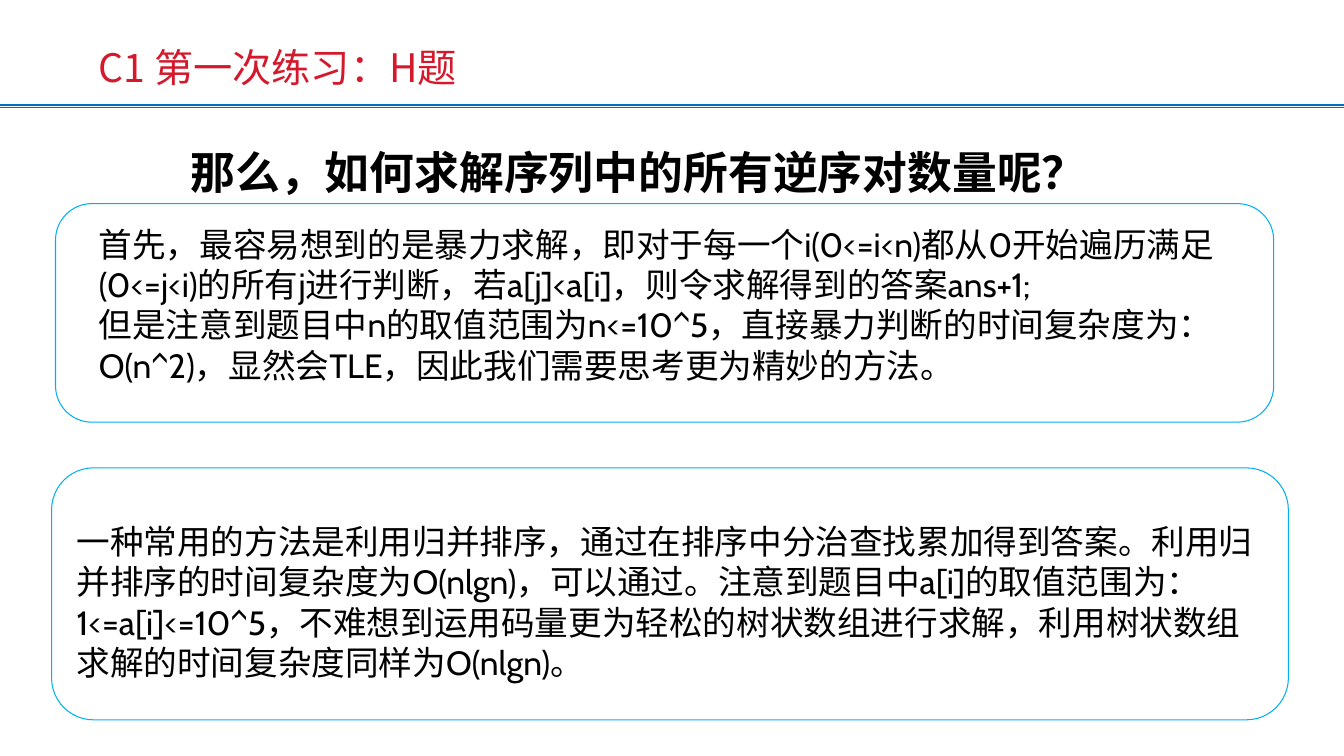
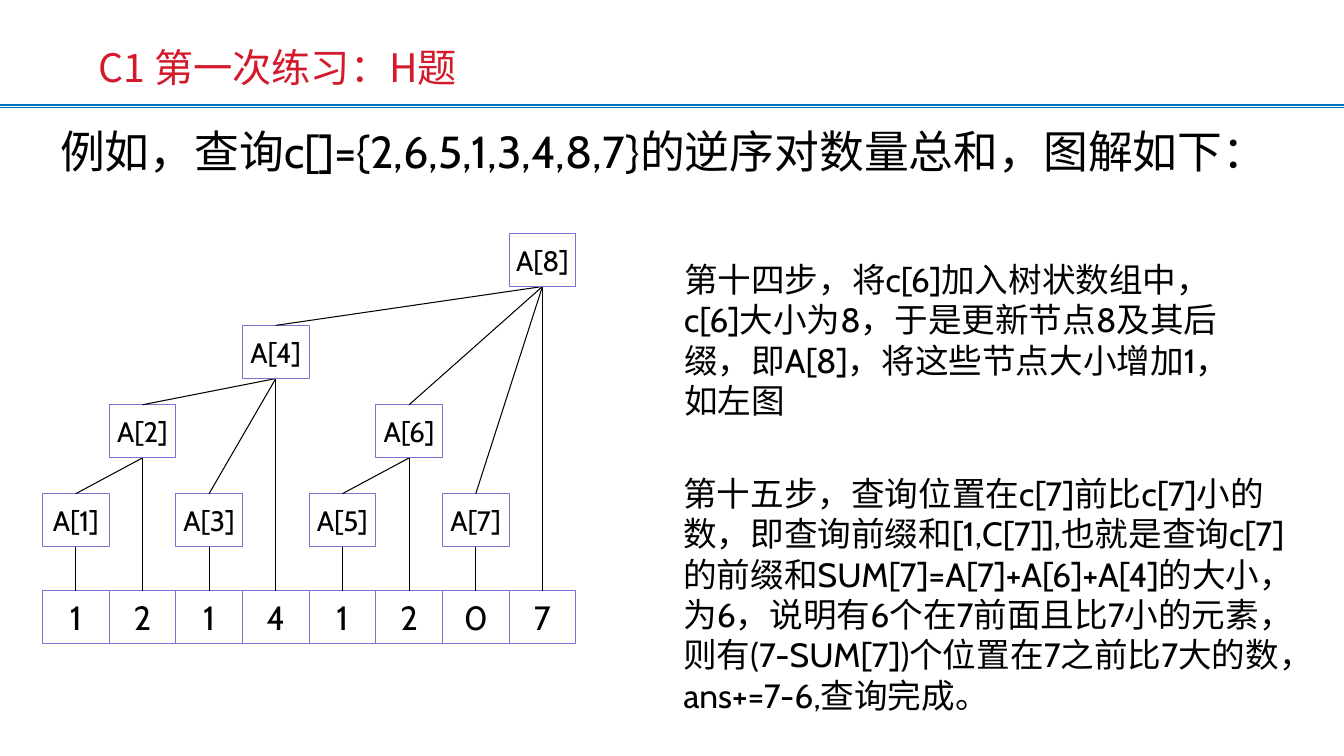
from collections import namedtuple

from lxml.etree import SubElement
from pptx import Presentation
from pptx.dml.color import RGBColor
from pptx.enum.lang import MSO_LANGUAGE_ID as Language
from pptx.enum.shapes import MSO_CONNECTOR as Connector, MSO_SHAPE as Preset
from pptx.enum.text import MSO_ANCHOR as Anchor, MSO_AUTO_SIZE as AutoSize, PP_ALIGN as Align
from pptx.oxml.ns import qn
from pptx.util import Cm, Pt

COLOURS = {
    "title": "D3192B",
    "rule": "0070C0",
    "card": "00B0F0",
    "node": "7575D1",
    "text": "000000",
}
TITLE_FONT = "Noto Sans CJK SC"
BODY_FONT = "Cabin"
PAGE_WIDTH, PAGE_HEIGHT = 33.87, 19.05
TITLE_TEXT = "C1 第一次练习：H题"

Box = namedtuple("Box", "left top width height")


def colour(name):
    return RGBColor.from_string(COLOURS[name])


def lengths(box):
    return [Cm(value) for value in box]


def write(frame, paragraphs, size, font=BODY_FONT, shade="text", align=Align.LEFT,
          anchor=Anchor.TOP, wrap=True, bold=False):
    frame.text = "\n".join(paragraphs)
    frame.auto_size = AutoSize.NONE
    frame.word_wrap = wrap
    frame.vertical_anchor = anchor
    for para in frame.paragraphs:
        para.alignment = align
        for span in para.runs:
            span.font.size = Pt(size)
            span.font.bold = bold
            span.font.name = font
            span.font.color.rgb = colour(shade)
            span.font.language_id = Language.SIMPLIFIED_CHINESE
            SubElement(span._r.get_or_add_rPr(), qn("a:ea")).set("typeface", font)


def add_text(page, box, paragraphs, size, **style):
    write(page.shapes.add_textbox(*lengths(box)).text_frame, paragraphs, size, **style)


def add_line(page, start, end, shade="text", weight=0.75):
    line = page.shapes.add_connector(Connector.STRAIGHT, *lengths(start + end))
    line.line.color.rgb = colour(shade)
    line.line.width = Pt(weight)
    SubElement(line._element.spPr, qn("a:effectLst"))


def add_outline(page, preset, box, shade):
    shape = page.shapes.add_shape(preset, *lengths(box))
    shape.shadow.inherit = False
    shape.fill.background()
    shape.line.color.rgb = colour(shade)
    shape.line.width = Pt(0.75)
    return shape


def add_page(deck):
    page = deck.slides.add_slide(deck.slide_layouts[5])
    for height, weight in ((2.72, 0.75), (2.64, 1.5)):
        add_line(page, (0, height), (PAGE_WIDTH, height), "rule", weight)
    title = page.shapes.title
    title.left, title.top, title.width, title.height = lengths(Box(2.24, 0.89, 26.67, 1.6))
    write(title.text_frame, [TITLE_TEXT], 28, TITLE_FONT, "title", anchor=Anchor.MIDDLE)
    return page


def add_heading(page, box, text, bold=False):
    add_text(page, box, [text], 32, align=Align.CENTER, wrap=False, bold=bold)


def add_card(page, box, inset, paragraphs):
    left, top, right = inset
    text_box = Box(box.left + left, box.top + top, box.width - left - right, box.height - top)
    add_text(page, text_box, paragraphs, 24)
    add_outline(page, Preset.ROUNDED_RECTANGLE, box, "card")


def add_cell(page, box, text, size):
    shape = add_outline(page, Preset.RECTANGLE, box, "node")
    write(shape.text_frame, [text], size, align=Align.CENTER, anchor=Anchor.MIDDLE, wrap=False)


def lowest_bit(index):
    return index & -index


def add_index_tree(page, box, values):
    width, height = box.width / len(values), 1.34
    level_tops = {1: 6.56, 2: 4.32, 4: 2.32, 8: 0}
    value_top = box.top + box.height - height
    nodes = {
        index: Box(box.left + (index - 1) * width, box.top + level_tops[lowest_bit(index)],
                   width, height)
        for index in range(1, len(values) + 1)
    }
    for index, node in nodes.items():
        centre = node.left + width / 2
        add_cell(page, node._replace(top=value_top), str(values[index - 1]), 24)
        add_cell(page, node, f"A[{index}]", 20)
        add_line(page, (centre, node.top + height), (centre, value_top))
        parent = nodes.get(index + lowest_bit(index))
        if parent:
            add_line(page, (centre, node.top), (parent.left + width / 2, parent.top + height))


def build_methods(deck):
    page = add_page(deck)
    add_heading(page, Box(3.94, 3.53, 24.33, 3.94), "那么，如何求解序列中的所有逆序对数量呢？", bold=True)
    add_card(page, Box(1.4, 5.13, 30.7, 5.51), (0.84, 0.38, -0.08), [
        "首先，最容易想到的是暴力求解，即对于每一个i(0<=i<n)都从0开始遍历满足(0<=j<i)的所有j进行判断，"
        "若a[j]<a[i]，则令求解得到的答案ans+1;",
        "但是注意到题目中n的取值范围为n<=10^5，直接暴力判断的时间复杂度为： O(n^2)，显然会TLE，"
        "因此我们需要思考更为精妙的方法。",
    ])
    add_card(page, Box(1.3, 11.79, 31.17, 6.35), (0.38, 1.21, 0.28), [
        "一种常用的方法是利用归并排序，通过在排序中分治查找累加得到答案。利用归并排序的时间复杂度为O(nlgn)，"
        "可以通过。注意到题目中a[i]的取值范围为：1<=a[i]<=10^5，不难想到运用码量更为轻松的树状数组进行求解，"
        "利用树状数组求解的时间复杂度同样为O(nlgn)。",
    ])


def build_example(deck):
    page = add_page(deck)
    add_heading(page, Box(7.21, 3, 19.05, 2.39),
                "例如，查询c[]={2,6,5,1,3,4,8,7}的逆序对数量总和，图解如下：")
    add_index_tree(page, Box(1.07, 5.88, 13.44, 10.34), [1, 2, 1, 4, 1, 2, 0, 7])
    add_text(page, Box(16.99, 6.4, 14.48, 4.37), [
        "第十四步，将c[6]加入树状数组中，c[6]大小为8，于是更新节点8及其后缀，即A[8]，"
        "将这些节点大小增加1，如左图",
    ], 24)
    add_text(page, Box(16.97, 11.79, 15.82, 6.4), [
        "第十五步，查询位置在c[7]前比c[7]小的数，即查询前缀和[1,C[7]],也就是查询c[7]的前缀和"
        "SUM[7]=A[7]+A[6]+A[4]的大小，为6，说明有6个在7前面且比7小的元素，"
        "则有(7-SUM[7])个位置在7之前比7大的数，ans+=7-6,查询完成。",
    ], 24)


def main():
    deck = Presentation()
    deck.slide_width, deck.slide_height = Cm(PAGE_WIDTH), Cm(PAGE_HEIGHT)
    build_methods(deck)
    build_example(deck)
    deck.save("out.pptx")


if __name__ == "__main__":
    main()
